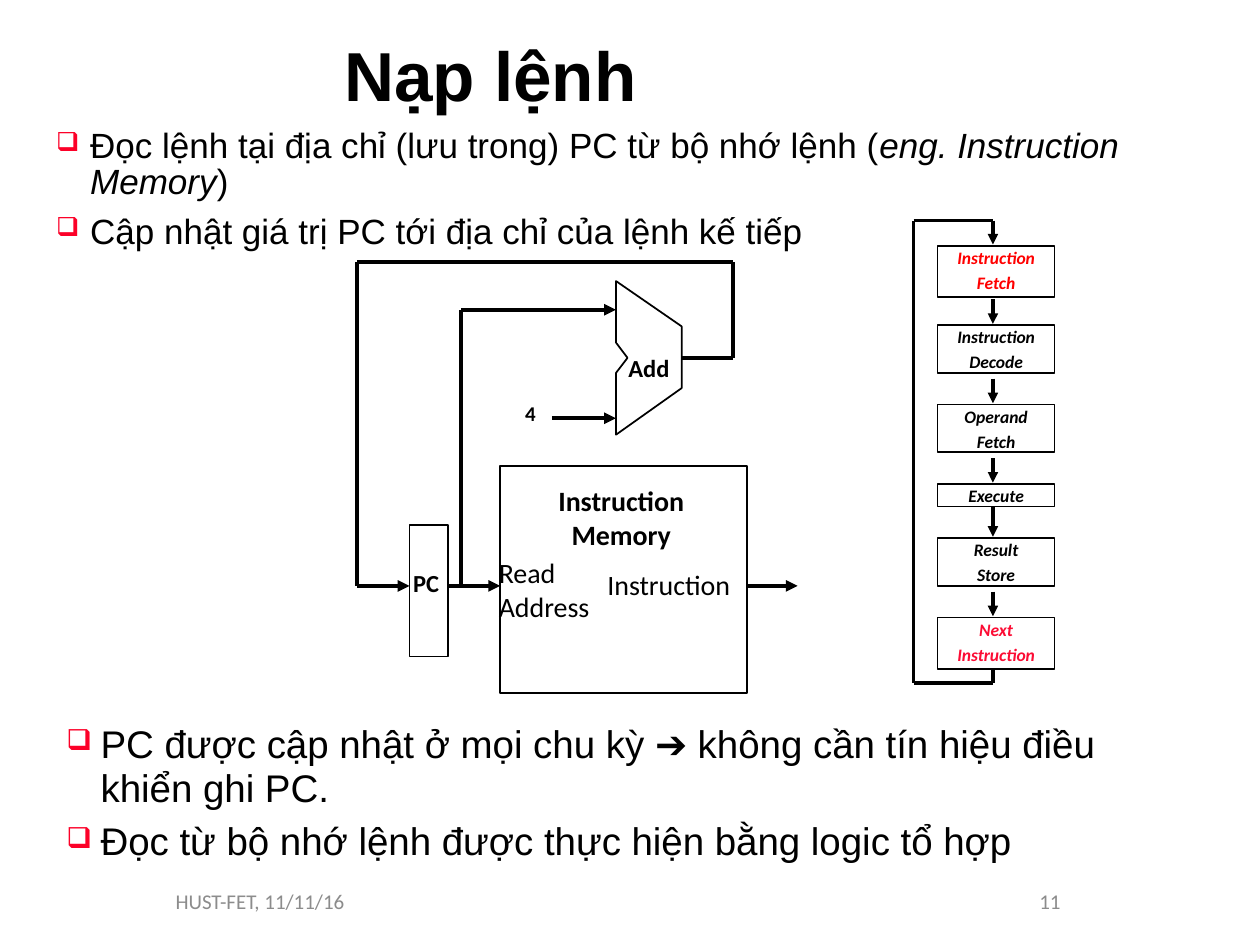
from lxml import etree
from pptx import Presentation
from pptx.dml.color import RGBColor
from pptx.enum.shapes import MSO_CONNECTOR, MSO_SHAPE
from pptx.enum.text import MSO_ANCHOR, MSO_AUTO_SIZE, PP_ALIGN
from pptx.oxml.ns import qn
from pptx.util import Pt

BLACK = RGBColor(0x00, 0x00, 0x00)
GRAY = RGBColor(0x8C, 0x8C, 0x8C)
RED = RGBColor(0xFF, 0x00, 0x00)
CRIMSON = RGBColor(0xFC, 0x0C, 0x34)
LEFT, CENTER, RIGHT = PP_ALIGN.LEFT, PP_ALIGN.CENTER, PP_ALIGN.RIGHT
TOP, MIDDLE = MSO_ANCHOR.TOP, MSO_ANCHOR.MIDDLE
RECTANGLE = MSO_SHAPE.RECTANGLE
STRAIGHT = MSO_CONNECTOR.STRAIGHT

prs = Presentation()
prs.slide_width, prs.slide_height = Pt(720), Pt(540)
slide = prs.slides.add_slide(prs.slide_layouts[5])
shapes = slide.shapes


def write(frame, lines, size, color=BLACK, align=LEFT, bold=False, font="Calibri", anchor=TOP):
    frame.word_wrap = True
    frame.vertical_anchor = anchor
    frame.text = "\n".join(lines)
    for paragraph in frame.paragraphs:
        paragraph.alignment = align
        paragraph.font.name = font
        paragraph.font.size = Pt(size)
        paragraph.font.bold = bold
        paragraph.font.color.rgb = color


def wire(points, width, arrow=True):
    for start, end in zip(points, points[1:]):
        segment = shapes.add_connector(STRAIGHT, *map(Pt, start + end))
        segment.line.color.rgb = BLACK
        segment.line.width = Pt(width)
        etree.SubElement(segment._element.spPr, qn("a:effectLst"))
    if arrow:
        etree.SubElement(segment.line._get_or_add_ln(), qn("a:tailEnd"), type="triangle")


title = shapes.title
title.left, title.top, title.width, title.height = Pt(24), Pt(18), Pt(512.6), Pt(48)
write(title.text_frame, ["Nạp lệnh"], 39.6, align=CENTER, bold=True, font="Arial", anchor=MIDDLE)
title.text_frame.auto_size = MSO_AUTO_SIZE.NONE

for left, footer, align in [(36, "HUST-FET, 11/11/16", RIGHT), (516, "11", CENTER)]:
    box = shapes.add_textbox(Pt(left), Pt(500.4), Pt(168), Pt(28.8))
    write(box.text_frame, [footer], 12, GRAY, align, anchor=MIDDLE)

bullet_lists = [
    ((24, 72, 666, 76.3), 20, 0.85, 8,
     ["Đọc lệnh tại địa chỉ (lưu trong) PC từ bộ nhớ lệnh (",
      "Cập nhật giá trị PC tới địa chỉ của lệnh kế tiếp"]),
    ((30, 411, 642, 86.4), 22, 0.95, 5.5,
     ["PC được cập nhật ở mọi chu kỳ ➔ không cần tín hiệu điều khiển ghi PC.",
      "Đọc từ bộ nhớ lệnh được thực hiện bằng logic tổ hợp"]),
]
for place, size, spacing, gap, items in bullet_lists:
    frame = shapes.add_textbox(*map(Pt, place)).text_frame
    write(frame, items, size, font="Arial")
    frame.margin_left = frame.margin_right = Pt(5)
    frame.margin_top = frame.margin_bottom = Pt(2.4)
    frame.paragraphs[1].space_before = Pt(gap)
    for paragraph in frame.paragraphs:
        paragraph.line_spacing = spacing
        properties = paragraph._p.get_or_add_pPr()
        properties.set("marL", str(Pt(22.5)))
        properties.set("indent", str(Pt(-19.5)))
        bullet_color = etree.Element(qn("a:buClr"))
        etree.SubElement(bullet_color, qn("a:srgbClr"), val="FC0128")
        bullet_size = etree.Element(qn("a:buSzPct"), val="75000")
        bullet_char = etree.Element(qn("a:buChar"), char="❑")
        defaults = properties.find(qn("a:defRPr"))
        for bullet_part in (bullet_color, bullet_size, bullet_char):
            defaults.addprevious(bullet_part)
    if size == 20:
        opening = frame.paragraphs[0]
        term = opening.add_run()
        term.text = "eng. Instruction Memory"
        term.font.italic = True
        opening.add_run().text = ")"

adder_outline = [(352, 160.6), (389.5, 186.5), (389.5, 221.8), (352, 248.4),
                 (352, 213.1), (358.6, 204.5), (352, 195.8)]
builder = shapes.build_freeform(*map(Pt, adder_outline[0]), scale=1.0)
builder.add_line_segments([(Pt(x), Pt(y)) for x, y in adder_outline[1:]])
adder = builder.convert_to_shape()
memory = shapes.add_shape(RECTANGLE, Pt(285.8), Pt(266.4), Pt(141), Pt(129.6))
pc_register = shapes.add_shape(RECTANGLE, Pt(234), Pt(300.2), Pt(22), Pt(75))

stages = [
    (140.4, 29.5, ["Instruction", "Fetch"], RED),
    (185.8, 27.4, ["Instruction", "Decode"], BLACK),
    (231.1, 27.4, ["Operand", "Fetch"], BLACK),
    (276.5, 13, ["Execute"], BLACK),
    (307.4, 27.4, ["Result", "Store"], BLACK),
    (352.8, 29.5, ["Next", "Instruction"], CRIMSON),
]
stage_boxes = []
for top, height, words, color in stages:
    stage = shapes.add_shape(RECTANGLE, Pt(535.7), Pt(top), Pt(67), Pt(height))
    stage_boxes.append(stage)
    frame = stage.text_frame
    write(frame, words, 10, color, CENTER, True)
    frame.margin_left = frame.margin_right = Pt(5)
    frame.margin_top = frame.margin_bottom = Pt(2.4)
    for row, paragraph in enumerate(frame.paragraphs):
        paragraph.font.italic = True
        paragraph.line_spacing = 0.86
        paragraph.space_before = Pt(4 * row)

for outline in [adder, memory, pc_register, *stage_boxes]:
    outline.fill.background()
    outline.line.color.rgb = BLACK
    outline.line.width = Pt(1)
    outline.shadow.inherit = False

DATA_Y = 334.8
wire([(426.5, DATA_Y), (455.8, DATA_Y)], 2.25)
wire([(256, DATA_Y), (285.8, DATA_Y)], 2.25)
wire([(263.5, DATA_Y), (263.5, 177), (352, 177)], 2.25)
wire([(315.4, 239), (352, 239)], 2.25)
wire([(389.5, 204.5), (419, 204.5), (419, 149.8), (203.8, 149.8),
      (203.8, DATA_Y), (234, DATA_Y)], 2.25)

STAGE_X, RETURN_X = 567.4, 522
for (top, height, words, _), (next_top, *_) in zip(stages, stages[1:]):
    tip = next_top - 0.7
    start = top + height if words == ["Execute"] else tip - 14
    wire([(STAGE_X, start), (STAGE_X, tip)], 2)
wire([(STAGE_X, 383), (STAGE_X, 390.2), (RETURN_X, 390.2), (RETURN_X, 126),
      (STAGE_X, 126), (STAGE_X, 139.7)], 2)

labels = [
    ((278, 314, 91.5, 52.5), ["Read", "Address"], 16, LEFT, False),
    ((340, 321, 110, 30), ["Instruction"], 16, LEFT, False),
    ((294.5, 273, 121, 52.5), ["Instruction", "Memory"], 16, CENTER, True),
    ((352, 198, 42, 24.5), ["Add"], 14, LEFT, True),
    ((229, 321, 34.5, 24.5), ["PC"], 14, LEFT, True),
    ((293, 225.4, 26, 24.5), ["4"], 12, LEFT, True),
]
for place, words, size, align, bold in labels:
    label = shapes.add_textbox(*map(Pt, place))
    write(label.text_frame, words, size, align=align, bold=bold)

prs.save("out.pptx")
